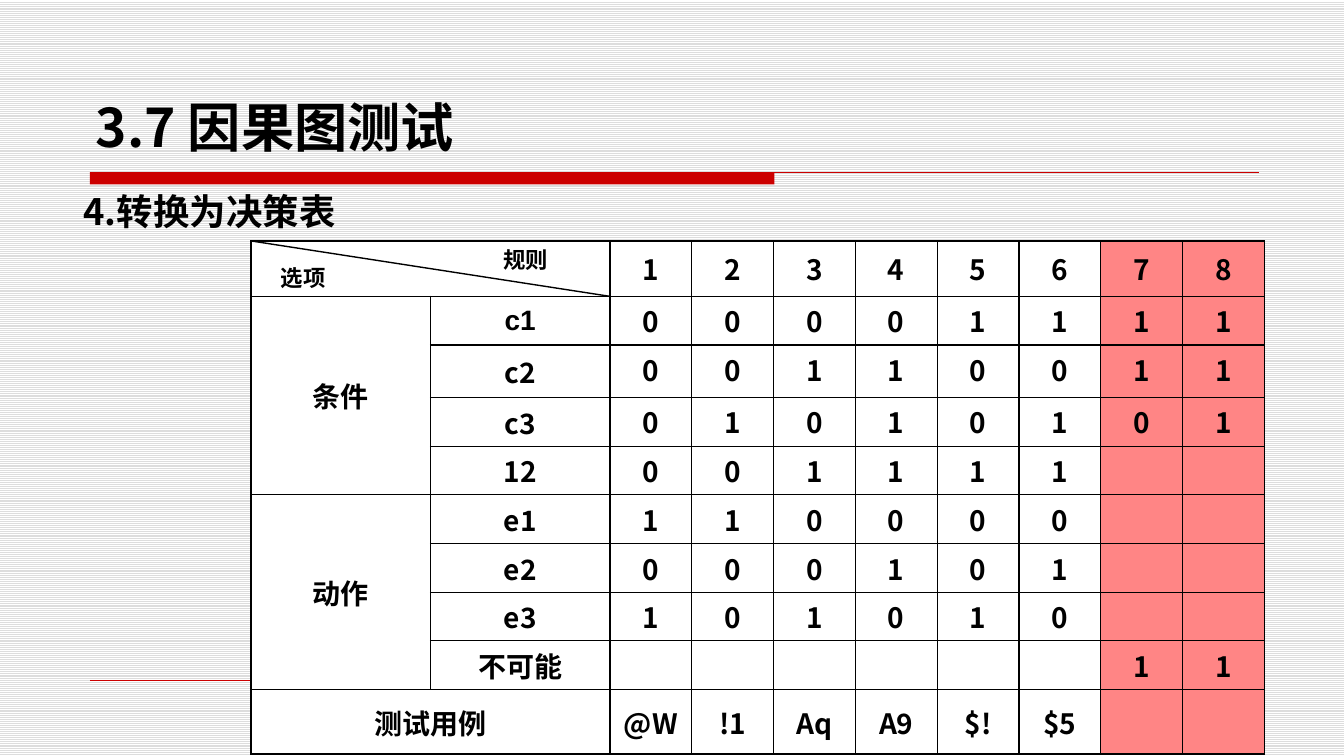
from dataclasses import dataclass

from lxml import etree
from pptx import Presentation
from pptx.dml.color import RGBColor
from pptx.enum.dml import MSO_PATTERN
from pptx.enum.shapes import MSO_CONNECTOR, MSO_SHAPE
from pptx.enum.text import MSO_ANCHOR, PP_ALIGN
from pptx.oxml.ns import qn
from pptx.util import Inches, Pt

LIGHT_HORIZONTAL = MSO_PATTERN.LIGHT_HORIZONTAL
STRAIGHT = MSO_CONNECTOR.STRAIGHT
RECTANGLE = MSO_SHAPE.RECTANGLE
TOP, MIDDLE, BOTTOM = MSO_ANCHOR.TOP, MSO_ANCHOR.MIDDLE, MSO_ANCHOR.BOTTOM
LEFT, CENTER, JUSTIFY = PP_ALIGN.LEFT, PP_ALIGN.CENTER, PP_ALIGN.JUSTIFY

SLIDE_WIDTH, SLIDE_HEIGHT = Inches(13.33), Inches(7.5)
SANS, ARIAL, TIMES = "Noto Sans CJK SC", "Arial", "Times New Roman"
BLACK, WHITE, RED, PINK, GREY = "000000", "FFFFFF", "CC0000", "FF8585", "DDDDDD"

TABLE_LEFT, TABLE_TOP = 18.68, 31.87
LABEL_COLUMNS, RULE_COLUMNS = 2, 8
COLUMN_WIDTHS = [13.35] * LABEL_COLUMNS + [6.09] * RULE_COLUMNS
FIRST_IMPOSSIBLE_COLUMN = 8


@dataclass(frozen=True)
class Caption:
    text: str
    left: float
    top: float
    width: float
    height: float
    size: int
    font: str
    align: PP_ALIGN = LEFT
    anchor: MSO_ANCHOR = TOP
    spacing: float = 1.0


@dataclass(frozen=True)
class Rule:
    left: float
    top: float
    right: float
    bottom: float
    color: str
    weight: float


@dataclass(frozen=True)
class DecisionRow:
    height: float
    label: str
    values: list[str]
    group: str = ""
    group_rows: int = 1
    label_font: str = SANS
    anchor: MSO_ANCHOR = TOP


CAPTIONS = [
    Caption("4.转换为决策表", 5.48, 22.67, 88.6, 73.73, 26, SANS, JUSTIFY, spacing=1.3),
    Caption("规则", 36.46, 31.87, 5.33, 4.93, 16, TIMES, CENTER),
    Caption("选项", 19.88, 34.27, 5.33, 4.93, 16, TIMES, CENTER),
    Caption("3.7 因果图测试", 6.38, 3.87, 65.64, 17.73, 38, SANS, anchor=BOTTOM),
]
MASTER_RULES = [
    Rule(6.68, 22.8, 93.7, 22.8, RED, 0.75),
    Rule(6.68, 90, 93.4, 90, RED, 0.25),
]
ROWS = [
    DecisionRow(7.33, "", list("12345678"), anchor=MIDDLE),
    DecisionRow(6.13, "c1", list("00001111"), "条件", 4, ARIAL),
    DecisionRow(6.93, "c2", list("00110011")),
    DecisionRow(6.13, "c3", list("01010101")),
    DecisionRow(6.27, "12", list("001111")),
    DecisionRow(6.13, "e1", list("110000"), "动作", 4),
    DecisionRow(6.13, "e2", list("000101")),
    DecisionRow(6.13, "e3", list("101010")),
    DecisionRow(6.13, "不可能", [""] * 6 + ["1", "1"]),
    DecisionRow(8.53, "", ["@W", "!1", "Aq", "A9", "$!", "$5"], "测试用例", anchor=MIDDLE),
]
HEADER_ROW, CASE_ROW = 0, len(ROWS) - 1
DIAGONAL = Rule(
    TABLE_LEFT,
    TABLE_TOP,
    TABLE_LEFT + sum(COLUMN_WIDTHS[:LABEL_COLUMNS]),
    TABLE_TOP + ROWS[HEADER_ROW].height,
    BLACK,
    1,
)


def across(percent: float) -> int:
    return round(SLIDE_WIDTH * percent / 100)


def down(percent: float) -> int:
    return round(SLIDE_HEIGHT * percent / 100)


def color(value: str) -> RGBColor:
    return RGBColor.from_string(value)


def write(para, text: str, size: int, font: str, align: PP_ALIGN) -> None:
    para.text = text
    para.alignment = align
    para.font.size = Pt(size)
    para.font.bold = True
    para.font.color.rgb = color(BLACK)
    para.font.name = font
    defaults = para._p.pPr.find(qn("a:defRPr"))
    etree.SubElement(defaults, qn("a:ea"), typeface=SANS)


def draw_caption(page, caption: Caption) -> None:
    box = page.shapes.add_textbox(
        across(caption.left), down(caption.top), across(caption.width), down(caption.height)
    )
    frame = box.text_frame
    frame.word_wrap = True
    frame.vertical_anchor = caption.anchor
    para = frame.paragraphs[0]
    write(para, caption.text, caption.size, caption.font, caption.align)
    para.line_spacing = caption.spacing


def draw_rule(page, rule: Rule) -> None:
    line = page.shapes.add_connector(
        STRAIGHT, across(rule.left), down(rule.top), across(rule.right), down(rule.bottom)
    )
    line.line.color.rgb = color(rule.color)
    line.line.width = Pt(rule.weight)
    etree.SubElement(line._element.spPr, qn("a:effectLst"))


def draw_title_bar(page) -> None:
    bar = page.shapes.add_shape(RECTANGLE, across(6.68), down(22.8), across(50.94), down(1.6))
    bar.shadow.inherit = False
    bar.fill.solid()
    bar.fill.fore_color.rgb = color(RED)
    bar.line.fill.background()


def style_cell(cell, fill: str) -> None:
    cell.fill.solid()
    cell.fill.fore_color.rgb = color(fill)
    cell.margin_left = cell.margin_right = Inches(0.05)
    cell.margin_top = cell.margin_bottom = Inches(0.04)
    properties = cell._tc.get_or_add_tcPr()
    for position, side in enumerate(("lnL", "lnR", "lnT", "lnB")):
        border = etree.Element(qn(f"a:{side}"), w=str(Pt(1)))
        paint = etree.SubElement(border, qn("a:solidFill"))
        etree.SubElement(paint, qn("a:srgbClr"), val=BLACK)
        properties.insert(position, border)


def fill_cell(cell, text: str, font: str = SANS, anchor: MSO_ANCHOR = MIDDLE) -> None:
    if text:
        cell.vertical_anchor = anchor
        write(cell.text_frame.paragraphs[0], text, 20, font, CENTER)


def draw_decision_table(page) -> None:
    table = page.shapes.add_table(
        len(ROWS),
        len(COLUMN_WIDTHS),
        across(TABLE_LEFT),
        down(TABLE_TOP),
        across(sum(COLUMN_WIDTHS)),
        down(sum(row.height for row in ROWS)),
    ).table
    table.first_row = table.horz_banding = False
    for index, width in enumerate(COLUMN_WIDTHS):
        table.columns[index].width = across(width)
    for index, row in enumerate(ROWS):
        table.rows[index].height = down(row.height)
        for column in range(len(COLUMN_WIDTHS)):
            fill = PINK if column >= FIRST_IMPOSSIBLE_COLUMN else WHITE
            style_cell(table.cell(index, column), fill)
        fill_cell(table.cell(index, 0), row.group, ARIAL)
        fill_cell(table.cell(index, 1), row.label, row.label_font)
        for column, value in enumerate(row.values, LABEL_COLUMNS):
            fill_cell(table.cell(index, column), value, anchor=row.anchor)
        if row.group_rows > 1:
            table.cell(index, 0).merge(table.cell(index + row.group_rows - 1, 0))
    for index in (HEADER_ROW, CASE_ROW):
        table.cell(index, 0).merge(table.cell(index, 1))


def main() -> None:
    deck = Presentation()
    deck.slide_width, deck.slide_height = SLIDE_WIDTH, SLIDE_HEIGHT
    page = deck.slides.add_slide(deck.slide_layouts[6])
    background = page.background.fill
    background.patterned()
    background.pattern = LIGHT_HORIZONTAL
    background.fore_color.rgb = color(GREY)
    background.back_color.rgb = color(WHITE)
    draw_title_bar(page)
    for rule in MASTER_RULES:
        draw_rule(page, rule)
    draw_decision_table(page)
    draw_rule(page, DIAGONAL)
    for caption in CAPTIONS:
        draw_caption(page, caption)
    deck.save("out.pptx")


if __name__ == "__main__":
    main()
